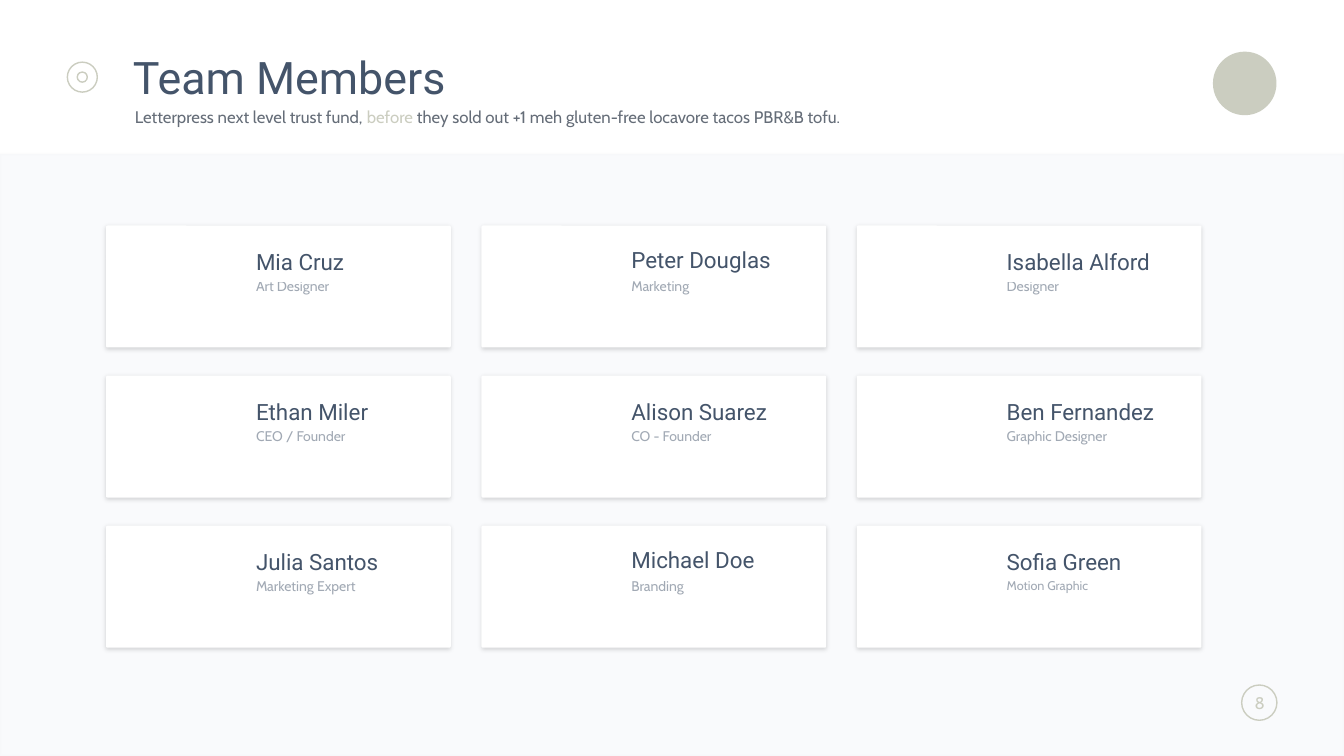
from lxml import etree
from pptx import Presentation
from pptx.dml.color import RGBColor
from pptx.enum import shapes, text
from pptx.oxml.ns import qn
from pptx.util import Pt

WHITE = RGBColor(0xFF, 0xFF, 0xFF)
NAVY = RGBColor(0x44, 0x54, 0x6A)
GREY = RGBColor(0x65, 0x6D, 0x78)
SAGE = RGBColor(0xCB, 0xCD, 0xC0)
BAND = RGBColor(0x7B, 0x8D, 0xB3)
EDGE = RGBColor(0xEB, 0xEB, 0xEB)

MEMBERS = [
    ("Mia Cruz", "Art Designer"), ("Peter Douglas", "Marketing"),
    ("Isabella Alford", "Designer"), ("Ethan Miler", "CEO / Founder"),
    ("Alison Suarez", "CO - Founder"), ("Ben Fernandez", "Graphic Designer"),
    ("Julia Santos", "Marketing Expert"), ("Michael Doe", "Branding"),
    ("Sofia Green", "Motion Graphic"),
]
TIGHT_NAMES = ("Peter Douglas", "Michael Doe")
CARD_W, CARD_H = 246.2, 87.1


def add_box(kind, x, y, w, h, fill=None, line=None, weight=1):
    sp = s.shapes.add_shape(kind, Pt(x), Pt(y), Pt(w), Pt(h))
    sp.shadow.inherit = False
    if fill is None:
        sp.fill.background()
    else:
        sp.fill.solid()
        sp.fill.fore_color.rgb = fill
    if line is None:
        sp.line.fill.background()
    else:
        sp.line.color.rgb = line
        sp.line.width = Pt(weight)
    return sp


def add_text(x, y, w, h, words, font, size, color, spacing=None):
    tf = s.shapes.add_textbox(Pt(x), Pt(y), Pt(w), Pt(h)).text_frame
    tf.word_wrap = True
    p = tf.paragraphs[0]
    p.text = words
    p.line_spacing = spacing
    p.font.name, p.font.size, p.font.color.rgb = font, Pt(size), color
    return p


prs = Presentation()
prs.slide_width, prs.slide_height = Pt(960), Pt(540)
s = prs.slides.add_slide(prs.slide_layouts[5])
kinds = shapes.MSO_SHAPE

# Translucent band below the header
band = add_box(kinds.RECTANGLE, 0, 110, 960, 430, BAND, EDGE, 2)
for color, percent in zip(band._element.spPr.iter(qn("a:srgbClr")), (4, 10)):
    etree.SubElement(color, qn("a:alpha"), val=str(percent * 1000))

# Header marks: emblem disc and double ring
add_box(kinds.OVAL, 866.4, 36.9, 45.4, 45.4, SAGE)
for diameter in (21.4, 7.2):
    add_box(kinds.OVAL, 58.8 - diameter / 2, 55.1 - diameter / 2,
            diameter, diameter, line=SAGE)

# Page number
add_box(kinds.OVAL, 886.9, 489.3, 25.2, 25.2, line=SAGE)
number = add_text(886.2, 491, 27.4, 21.6, "8", "Cabin", 12, SAGE)
number.alignment = text.PP_ALIGN.CENTER

# Team cards, three to a row
for i, (name, role) in enumerate(MEMBERS):
    row, col = divmod(i, 3)
    x, y = 75.8 + 268.1 * col, 161.1 + 107.2 * row
    card = add_box(kinds.ROUNDED_RECTANGLE, x, y, CARD_W, CARD_H, WHITE)
    card.adjustments[0] = 0.012
    effects = card._element.spPr.find(qn("a:effectLst"))
    shadow = etree.SubElement(effects, qn("a:outerShdw"), blurRad=str(Pt(3)),
                              dist=str(Pt(1)), dir="5400000", rotWithShape="0")
    black = etree.SubElement(shadow, qn("a:srgbClr"), val="000000")
    etree.SubElement(black, qn("a:alpha"), val="15000")

    add_text(x + 100, y + 16.4, 146.2, 26.6, name, "Roboto", 16, NAVY,
             0.7 if name in TIGHT_NAMES else 0.8)
    p = add_text(x + 100, y + 36.1, 146.2, 20.9, role, "Cabin",
                 9 if role == "Motion Graphic" else 10, NAVY, 0.8)
    color = next(p._p.iter(qn("a:srgbClr")))
    etree.SubElement(color, qn("a:alpha"), val="50000")

# Title and subtitle
title = s.shapes.title
title.left, title.top, title.width, title.height = Pt(87.8), Pt(36), Pt(725), Pt(38.2)
tf = title.text_frame
tf.text = "Team Members"
tf.word_wrap = True
tf.auto_size = text.MSO_AUTO_SIZE.NONE
tf.vertical_anchor = text.MSO_ANCHOR.TOP
p = tf.paragraphs[0]
p.alignment = text.PP_ALIGN.LEFT
p.line_spacing = 0.9
p.font.name, p.font.size, p.font.color.rgb = "Roboto", Pt(32), NAVY

p = add_text(89.3, 74.2, 651.6, 20.9, "Letterpress next level trust fund, ",
             "Cabin", 12, GREY, 0.9)
r = p.add_run()
r.text = "before"
r.font.color.rgb = SAGE
p.add_run().text = " they sold out +1 meh gluten-free locavore tacos PBR&B tofu."

prs.save("out.pptx")
